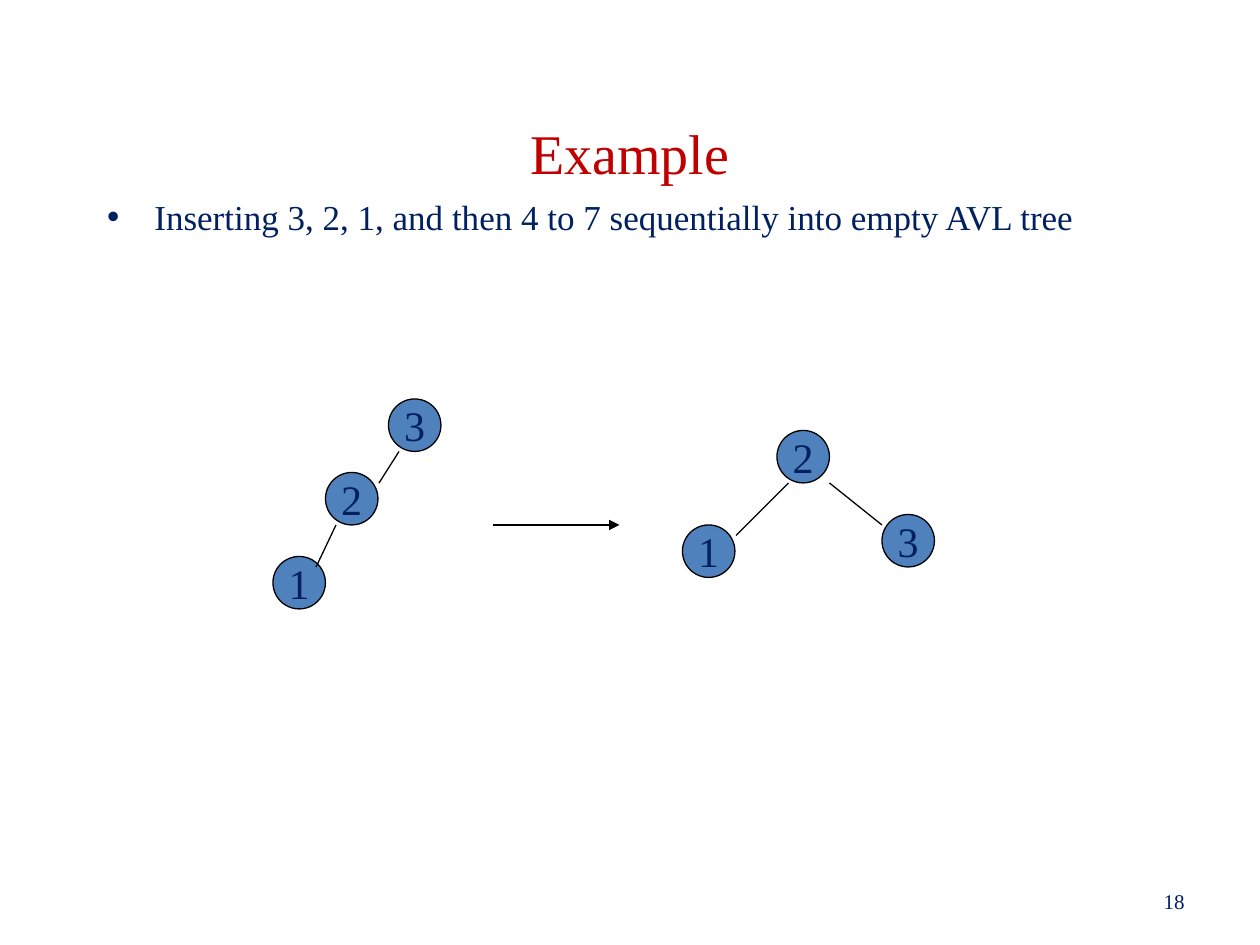
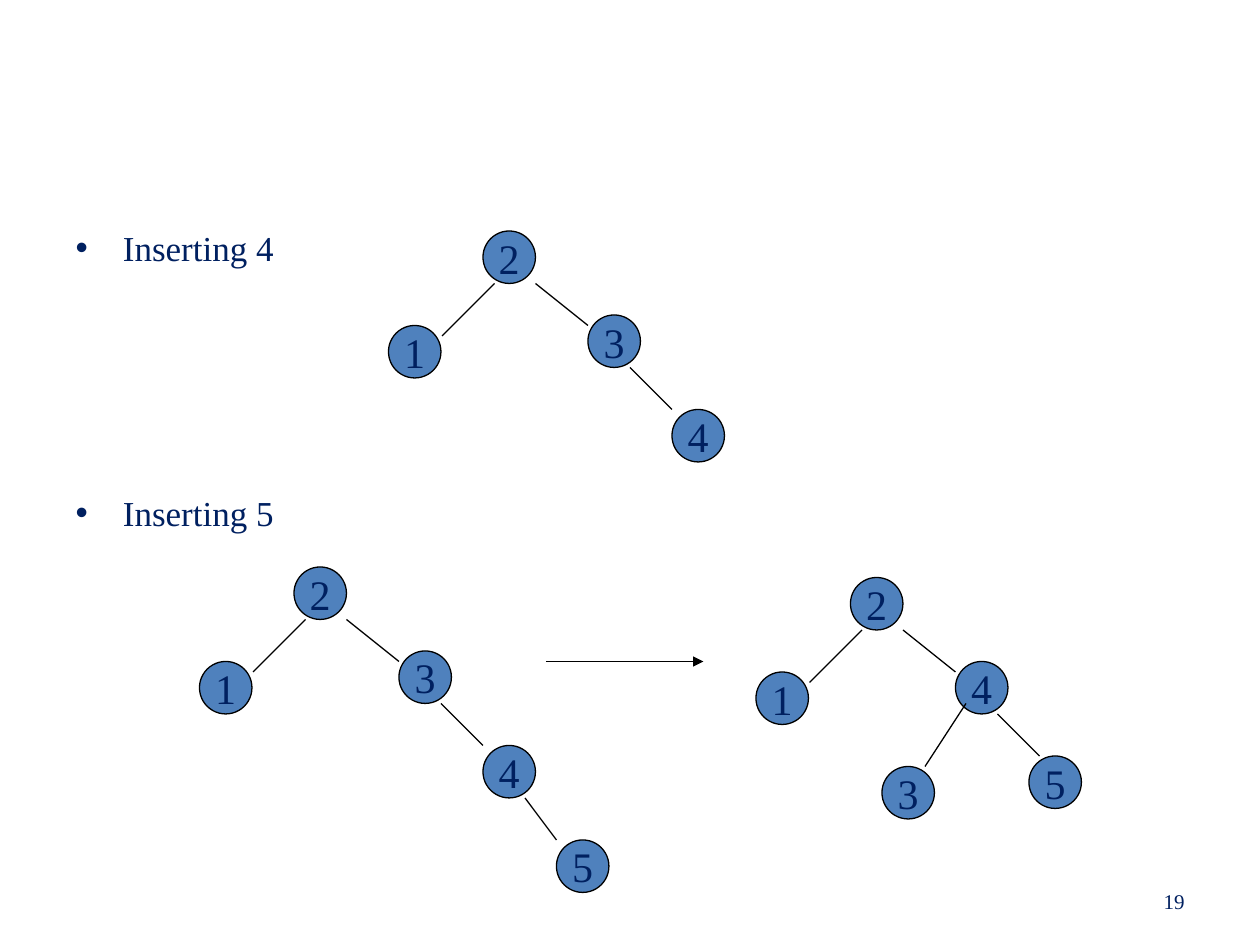
from lxml.etree import SubElement
from pptx import Presentation
from pptx.dml.color import RGBColor
from pptx.enum.shapes import MSO_CONNECTOR as Link, MSO_SHAPE as Shape
from pptx.enum.text import MSO_ANCHOR as Anchor, MSO_AUTO_SIZE as Fit, PP_ALIGN as Align
from pptx.oxml.ns import qn
from pptx.util import Pt

PX = 7620  # 120 px to the inch
FONT = "Times New Roman"
NAVY, RED, BLUE, BLACK = "002060", "C00000", "4F81BD", "000000"
NODE = 50

# Each branch: step from parent to child, then line start and end,
# all measured from the parent's top left corner.
LEFT = (-90, 90), (11, 50), (-39, 100)
RIGHT = (100, 80), (50, 50), (100, 90)
DOWN = (80, 90), (40, 50), (80, 90)
STEEP = (70, 90), (40, 50), (70, 90)
WIDE = (70, 90), (40, 50), (80, 90)
INNER = (-70, 100), (10, 40), (-29, 100)
CHAIN = (-60, 70), (10, 50), (-9, 80)
TAIL = (-50, 80), (10, 50), (-9, 90)

# A tree is a key followed by (branch, subtree) pairs.
ONE, THREE, FIVE = ("1",), ("3",), ("5",)
SKEWED = ("3", (CHAIN, ("2", (TAIL, ONE))))
BALANCED = ("2", (LEFT, ONE), (RIGHT, THREE))
WITH_4 = ("2", (LEFT, ONE), (RIGHT, ("3", (DOWN, ("4",)))))
WITH_5 = ("2", (LEFT, ONE), (RIGHT, ("3", (DOWN, ("4", (STEEP, FIVE))))))
ROTATED = ("2", (LEFT, ONE), (RIGHT, ("4", (INNER, THREE), (WIDE, FIVE))))


def px(*nums):
    return [n * PX for n in nums]


def color(code):
    return RGBColor.from_string(code)


def style(para, size, code=NAVY, align=None, before=0):
    para.alignment = align
    para.space_before, para.space_after = Pt(before), Pt(0.5)
    for run in para.runs:
        run.font.name, run.font.size = FONT, Pt(size)
        run.font.color.rgb = color(code)


def place(shape, *box):
    shape.left, shape.top, shape.width, shape.height = px(*box)
    shape.text_frame.auto_size = Fit.NONE


def add_title(slide, text):
    title = slide.shapes.title
    place(title, 90, 70, 1020, 150)
    frame = title.text_frame
    frame.text = text
    frame.vertical_anchor = Anchor.MIDDLE
    style(frame.paragraphs[0], 32, RED, Align.CENTER)


def add_list(slide, box, items, gap=0):
    body = slide.placeholders[1]
    place(body, *box)
    frame = body.text_frame
    frame.text = "\n".join(items)
    for i, para in enumerate(frame.paragraphs):
        style(para, 20, before=gap if i else 0)


def add_number(slide, num):
    box = slide.shapes.add_textbox(*px(860, 834, 280, 48))
    frame = box.text_frame
    frame.word_wrap = True
    frame.vertical_anchor = Anchor.MIDDLE
    frame.text = str(num)
    style(frame.paragraphs[0], 12, align=Align.RIGHT)


def add_node(slide, key, x, y):
    node = slide.shapes.add_shape(Shape.OVAL, *px(x, y, NODE, NODE))
    node.shadow.inherit = False
    node.fill.solid()
    node.fill.fore_color.rgb = color(BLUE)
    node.line.color.rgb = color(BLACK)
    node.line.width = Pt(0.75)
    frame = node.text_frame
    frame.word_wrap = False
    frame.vertical_anchor = Anchor.MIDDLE
    frame.text = key
    style(frame.paragraphs[0], 24, align=Align.CENTER)


def add_line(slide, x1, y1, x2, y2):
    line = slide.shapes.add_connector(Link.STRAIGHT, *px(x1, y1, x2, y2))
    line.line.color.rgb = color(BLACK)
    line.line.width = Pt(0.75)
    SubElement(line._element.spPr, qn("a:effectLst"))
    return line


def add_arrow(slide, x, y, length):
    line = add_line(slide, x, y, x + length, y)
    SubElement(line.line._get_or_add_ln(), qn("a:tailEnd"), type="triangle")


def add_tree(slide, x, y, tree):
    key, *kids = tree
    add_node(slide, key, x, y)
    for ((dx, dy), (ax, ay), (bx, by)), kid in kids:
        add_tree(slide, x + dx, y + dy, kid)
        add_line(slide, x + ax, y + ay, x + bx, y + by)


def add_slide(deck, num):
    slide = deck.slides.add_slide(deck.slide_layouts[1])
    add_number(slide, num)
    return slide


def build_first(deck):
    slide = add_slide(deck, 18)
    add_title(slide, "Example")
    add_list(slide, (90, 180, 1020, 130),
             ["Inserting 3, 2, 1, and then 4 to 7 sequentially into empty AVL tree"])
    add_tree(slide, 370, 380, SKEWED)
    add_arrow(slide, 470, 500, 120)
    add_tree(slide, 740, 410, BALANCED)


def build_next(deck):
    slide = add_slide(deck, 19)
    title = slide.shapes.title._element
    title.getparent().remove(title)
    add_list(slide, (60, 210, 1080, 594), ["Inserting 4", "Inserting 5"], gap=127)
    add_tree(slide, 460, 220, WITH_4)
    add_tree(slide, 280, 540, WITH_5)
    add_arrow(slide, 520, 630, 150)
    add_tree(slide, 810, 550, ROTATED)


def main():
    deck = Presentation()
    deck.slide_width, deck.slide_height = px(1200, 900)
    build_first(deck)
    build_next(deck)
    deck.save("out.pptx")


if __name__ == "__main__":
    main()
